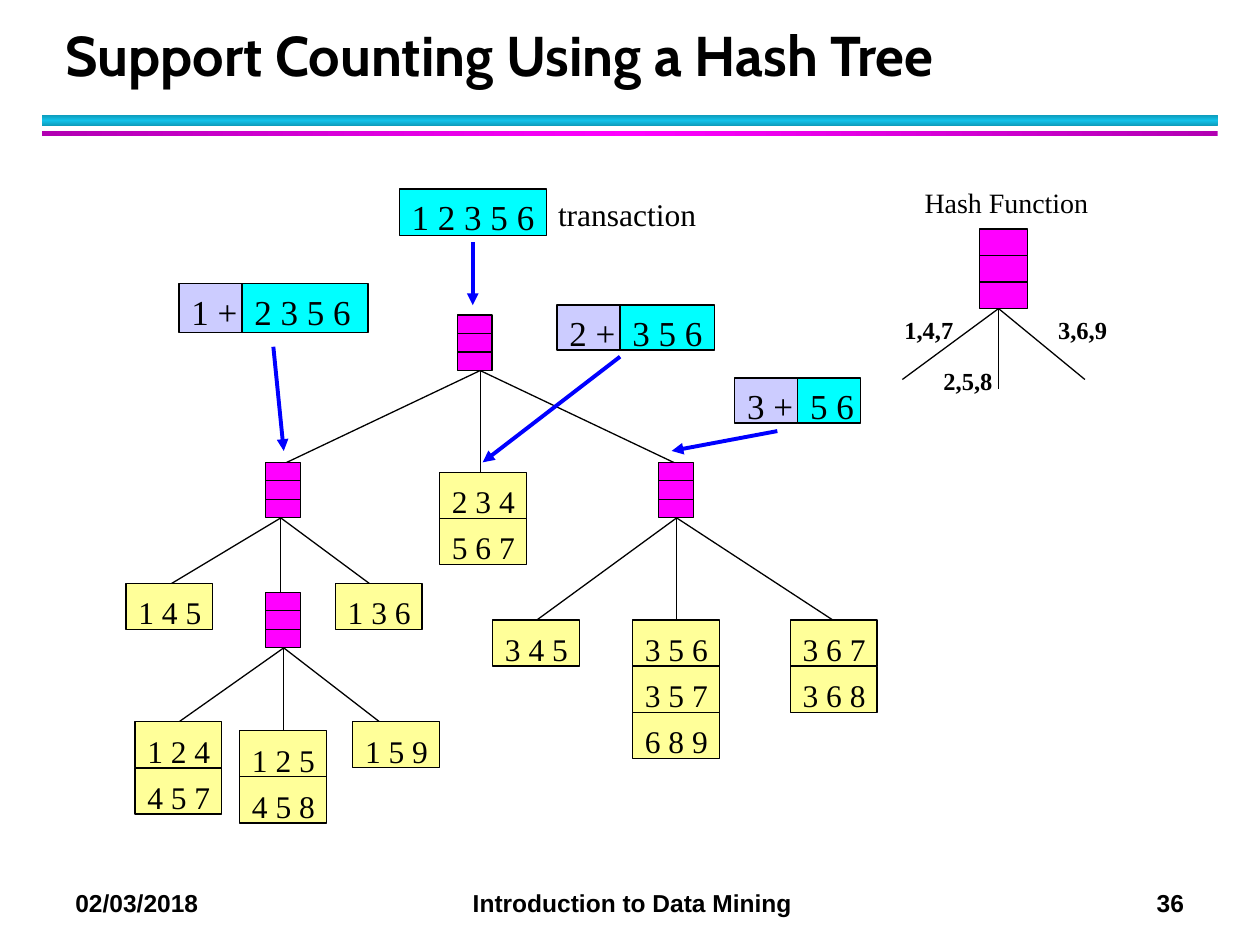
"""Build a slide that explains support counting with a hash tree."""
import copy

import lxml.etree
import pptx
import pptx.dml.color
import pptx.enum.shapes
import pptx.enum.text
import pptx.oxml.ns
import pptx.util

Cm = pptx.util.Cm
Pt = pptx.util.Pt
qn = pptx.oxml.ns.qn
ANCHOR = pptx.enum.text.MSO_ANCHOR

COLORS = {
    "ink": "000000",
    "node": "FF00FF",
    "leaf": "FFFF99",
    "prefix": "CCCCFF",
    "items": "00FFFF",
    "arrow": "0000FF",
    "teal_edge": "0E9BBA",
    "teal_middle": "12C2E9",
    "purple_edge": "B200B2",
    "purple_middle": "FF00FF",
}
SERIF = "Times New Roman"
NODE_SIZE = (0.7, 1.12)
LEAF_SIZE = (1.75, 0.93)
PREFIX_WIDTH = 1.27

# Each node: left, top, size, x of the branching point, branch ends
NODES = [
    (9.22, 6.35, NODE_SIZE, 9.68, [(5.72, 9.35), (9.68, 9.52), (13.64, 9.35)]),
    (5.36, 9.32, NODE_SIZE, 5.66, [(3.43, 11.78), (5.66, 11.94), (7.47, 11.78)]),
    (13.28, 9.32, NODE_SIZE, 13.64, [(10.82, 12.5), (13.64, 12.5), (16.79, 12.5)]),
    (5.36, 11.94, NODE_SIZE, 5.72, [(3.61, 14.55), (5.72, 14.73), (7.65, 14.55)]),
    (19.74, 4.62, (0.97, 1.6), 20.13, [(18.19, 7.65), (20.13, 7.85), (21.87, 7.65)]),
]
LEAVES = [
    (2.54, 11.76, ["1 4 5"]),
    (6.76, 11.76, ["1 3 6"]),
    (2.72, 14.55, ["1 2 4", "4 5 7"]),
    (4.83, 14.73, ["1 2 5", "4 5 8"]),
    (7.11, 14.55, ["1 5 9"]),
    (8.86, 9.52, ["2 3 4", "5 6 7"]),
    (9.93, 12.5, ["3 4 5"]),
    (12.75, 12.5, ["3 5 6", "3 5 7", "6 8 9"]),
    (15.93, 12.5, ["3 6 7", "3 6 8"]),
]
# Each split: left, top, height, prefix, remaining items, their width
SPLITS = [
    (3.61, 5.72, 0.99, "1 +", "2 3 5 6", 2.54),
    (11.23, 6.15, 0.91, "2 +", "3 5 6", 1.91),
    (14.81, 7.62, 0.91, "3 +", "5 6", 1.27),
]
ARROWS = [
    ((9.53, 4.88), (9.53, 6.15)),
    ((5.51, 6.99), (5.72, 9.09)),
    ((12.5, 7.19), (9.73, 9.32)),
    ((15.67, 8.69), (13.54, 9.09)),
]
# Each label: text, box, size, bold
LABELS = [
    ("transaction", (11, 3.81, 3.3, 1.02), 18, False),
    ("Hash Function", (18.39, 3.61, 3.84, 0.94), 16, False),
    ("1,4,7", (17.98, 6.22, 1.5, 0.84), 14, True),
    ("2,5,8", (18.77, 7.24, 1.5, 0.84), 14, True),
    ("3,6,9", (21.08, 6.22, 1.5, 0.84), 14, True),
]


def rgb(name):
    """Return the named colour."""
    return pptx.dml.color.RGBColor.from_string(COLORS[name])


def write(frame, text, *, size, font=SERIF, bold=False, anchor=ANCHOR.TOP,
          wrap=True, insets=(0.25, 0.13, 0.25, 0.13)):
    """Put formatted left-aligned text in a frame and return its paragraph."""
    frame.auto_size = pptx.enum.text.MSO_AUTO_SIZE.NONE
    frame.word_wrap = wrap
    frame.vertical_anchor = anchor
    (frame.margin_left, frame.margin_top,
     frame.margin_right, frame.margin_bottom) = map(Cm, insets)
    para = frame.paragraphs[0]
    para.alignment = pptx.enum.text.PP_ALIGN.LEFT
    span = para.add_run()
    span.text = text
    span.font.name = font
    span.font.size = Pt(size)
    span.font.bold = bold
    span.font.color.rgb = rgb("ink")
    return para


def add_box(page, left, top, width, height, color):
    """Add a filled rectangle with a thin outline."""
    box = page.shapes.add_shape(
        pptx.enum.shapes.MSO_SHAPE.RECTANGLE, *map(Cm, (left, top, width, height)))
    box.shadow.inherit = False
    box.fill.solid()
    box.fill.fore_color.rgb = rgb(color)
    box.line.color.rgb = rgb("ink")
    box.line.width = Pt(0.75)
    return box


def add_cell(page, left, top, width, height, color, text, size, inset=0.13):
    """Add a rectangle that holds an itemset."""
    box = add_box(page, left, top, width, height, color)
    write(box.text_frame, text, size=size, insets=(0.25, inset, 0, 0))


def add_line(page, start, end, color="ink", width=0.75, arrow=False):
    """Add a straight line, with an arrowhead at its end if wanted."""
    line = page.shapes.add_connector(
        pptx.enum.shapes.MSO_CONNECTOR.STRAIGHT, *map(Cm, (*start, *end)))
    line.line.color.rgb = rgb(color)
    line.line.width = Pt(width)
    if arrow:
        outline = line.line._get_or_add_ln()
        lxml.etree.SubElement(outline, qn("a:tailEnd"), type="triangle")
    lxml.etree.SubElement(line._element.spPr, qn("a:effectLst"))


def add_node(page, left, top, size, apex, ends):
    """Add a hash node of three slots with its branches."""
    width, height = size
    for end in ends:
        add_line(page, (apex, top + height), end)
    add_box(page, left, top, width, height, "node")
    for slot in (1, 2):
        level = top + height * slot / 3
        add_line(page, (left, level), (left + width, level))


def add_rule(page, top, height, shade, angle):
    """Add a gradient bar that is brightest in the middle."""
    bar = add_box(page, 0.85, top, 23.7, height, "ink")
    bar.line.fill.background()
    bar.fill.gradient()
    bar.fill.gradient_angle = angle
    stops = bar._element.spPr.find(".//" + qn("a:gsLst"))
    stops.append(copy.deepcopy(stops[0]))
    parts = ("edge", "middle", "edge")
    for stop, place, part in zip(bar.fill.gradient_stops, (0, 0.5, 1), parts):
        stop.position = place
        stop.color.rgb = rgb(f"{shade}_{part}")


def add_label(page, text, place, **style):
    """Add a text box and return its paragraph."""
    box = page.shapes.add_textbox(*map(Cm, place))
    return write(box.text_frame, text, **style)


def add_footer(page):
    """Add the date, course and page number on tab stops."""
    para = add_label(page, "02/03/2018\tIntroduction to Data Mining\t36",
                     (1.27, 17.78, 23.7, 0.86), size=14, font="Arial", bold=True)
    tabs = lxml.etree.SubElement(para._p.get_or_add_pPr(), qn("a:tabLst"))
    for place, align in ((11.23, "ctr"), (22.35, "r")):
        lxml.etree.SubElement(tabs, qn("a:tab"), pos=str(Cm(place)), algn=align)


def add_title(page, text):
    """Fill and place the title."""
    title = page.shapes.title
    title.left, title.top, title.width, title.height = map(Cm, (1.07, 0.43, 23.01, 1.47))
    para = write(title.text_frame, text, size=32, font="Cabin", bold=True,
                 anchor=ANCHOR.BOTTOM)
    para.line_spacing = Pt(36)


def main():
    """Build and save the slide."""
    deck = pptx.Presentation()
    deck.slide_width, deck.slide_height = Cm(25.4), Cm(19.05)
    page = deck.slides.add_slide(deck.slide_layouts[5])
    add_rule(page, 2.32, 0.22, "teal", 90)
    add_rule(page, 2.64, 0.1, "purple", 0)
    add_footer(page)
    add_title(page, "Support Counting Using a Hash Tree")
    for node in NODES:
        add_node(page, *node)
    for left, top, itemsets in LEAVES:
        for row, text in enumerate(itemsets):
            add_cell(page, left, top + row * LEAF_SIZE[1], *LEAF_SIZE, "leaf", text, 18, 0.2)
    add_cell(page, 8.05, 3.81, 2.97, 0.94, "items", "1 2 3 5 6", 20)
    for left, top, height, prefix, items, width in SPLITS:
        add_cell(page, left, top, PREFIX_WIDTH, height, "prefix", prefix, 20)
        add_cell(page, left + PREFIX_WIDTH, top, width, height, "items", items, 20)
    for start, end in ARROWS:
        add_line(page, start, end, "arrow", 2.25, arrow=True)
    for text, place, size, bold in LABELS:
        add_label(page, text, place, size=size, bold=bold, wrap=False)
    deck.save("out.pptx")


if __name__ == "__main__":
    main()
